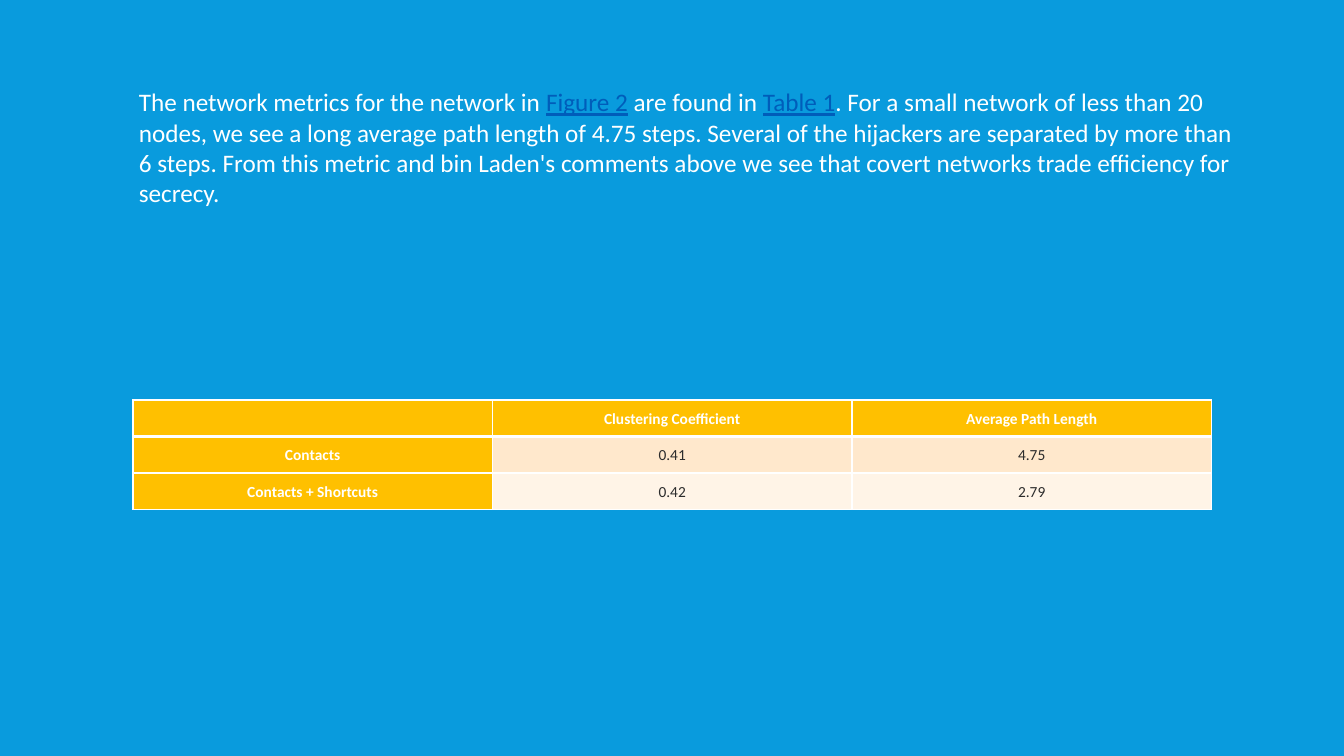
from lxml.etree import SubElement
from pptx import Presentation
from pptx.dml.color import RGBColor
from pptx.enum.text import MSO_ANCHOR, MSO_AUTO_SIZE, PP_ALIGN
from pptx.oxml.ns import qn
from pptx.util import Cm, Pt

FONT = "Calibri"
BLUE, LINK, WHITE, DARK = "099BDD", "005DBA", "FFFFFF", "2C2C2C"
AMBER = "FFC000"
BANDS = ["FFE8CC", "FFF4E7"]

SUMMARY = [
    ("The network metrics for the network in ", False),
    ("Figure 2", True),
    (" are found in ", False),
    ("Table 1", True),
    (". For a small network of less than 20 nodes, we see a long average path "
     "length of 4.75 steps. Several of the hijackers are separated by more than "
     "6 steps. From this metric and bin Laden's comments above we see that covert "
     "networks trade efficiency for secrecy.", False),
]
METRICS = [
    ["", "Clustering Coefficient", "Average Path Length"],
    ["Contacts", "0.41", "4.75"],
    ["Contacts + Shortcuts", "0.42", "2.79"],
]


def color(value):
    return RGBColor.from_string(value)


def style_font(font, size, value, bold=False):
    font.name = FONT
    font.size = Pt(size)
    font.bold = bold
    font.color.rgb = color(value)


def add_summary(page):
    box = page.shapes.add_textbox(Cm(3.25), Cm(2.06), Cm(28.09), Cm(3.33))
    frame = box.text_frame
    frame.word_wrap = True
    frame.auto_size = MSO_AUTO_SIZE.SHAPE_TO_FIT_TEXT
    para = frame.paragraphs[0]
    for text, is_reference in SUMMARY:
        span = para.add_run()
        span.text = text
        style_font(span.font, 18, LINK if is_reference else WHITE)
        span.font.underline = is_reference


def set_borders(cell, bottom_width):
    properties = cell._tc.get_or_add_tcPr()
    widths = {"a:lnL": 1, "a:lnR": 1, "a:lnT": 1, "a:lnB": bottom_width}
    for position, (tag, width) in enumerate(widths.items()):
        line = SubElement(properties, qn(tag), w=str(Pt(width)))
        fill = SubElement(line, qn("a:solidFill"))
        SubElement(fill, qn("a:srgbClr"), val=WHITE)
        properties.insert(position, line)


def fill_cell(cell, text, fill, text_color, bold):
    cell.fill.solid()
    cell.fill.fore_color.rgb = color(fill)
    cell.vertical_anchor = MSO_ANCHOR.MIDDLE
    cell.margin_left = cell.margin_right = Cm(0.2)
    cell.margin_top = cell.margin_bottom = Cm(0.2)
    para = cell.text_frame.paragraphs[0]
    para.text = text
    para.alignment = PP_ALIGN.CENTER
    para.line_spacing = 1.07
    para.space_after = Pt(8)
    for span in para.runs:
        style_font(span.font, 11, text_color, bold)
    if not text:
        SubElement(para._p, qn("a:endParaRPr"), sz="1100")


def add_metrics_table(page):
    frame = page.shapes.add_table(
        len(METRICS), len(METRICS[0]), Cm(3.35), Cm(10.08), Cm(27.18), Cm(2.76))
    table = frame.table
    for column in table.columns:
        column.width = Cm(9.06)
    for row_index, values in enumerate(METRICS):
        table.rows[row_index].height = Cm(0.92)
        for column_index, text in enumerate(values):
            cell = table.cell(row_index, column_index)
            heading = row_index == 0 or column_index == 0
            fill = AMBER if heading else BANDS[row_index - 1]
            fill_cell(cell, text, fill, WHITE if heading else DARK, heading)
            set_borders(cell, 3 if row_index == 0 else 1)


def main():
    deck = Presentation()
    deck.slide_width, deck.slide_height = Cm(33.87), Cm(19.05)
    page = deck.slides.add_slide(deck.slide_layouts[6])
    page.background.fill.solid()
    page.background.fill.fore_color.rgb = color(BLUE)
    add_summary(page)
    add_metrics_table(page)
    deck.save("out.pptx")


if __name__ == "__main__":
    main()
